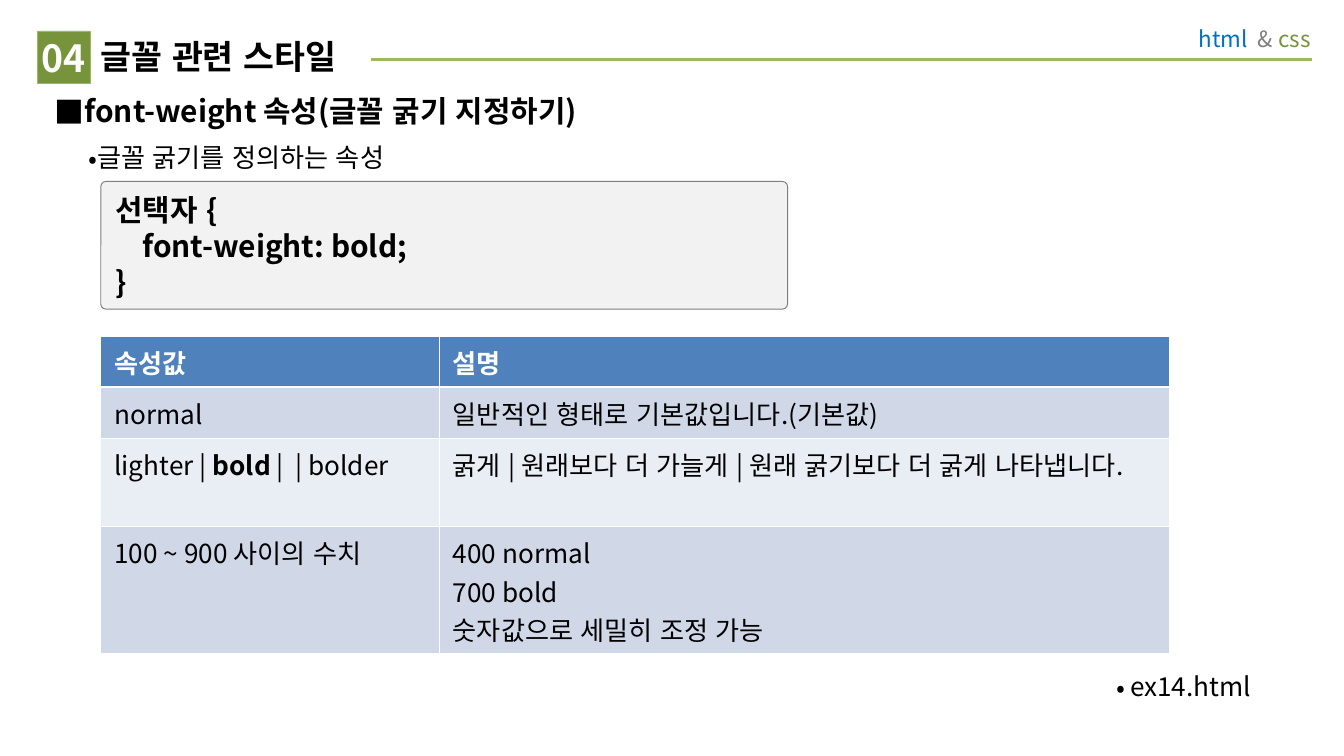
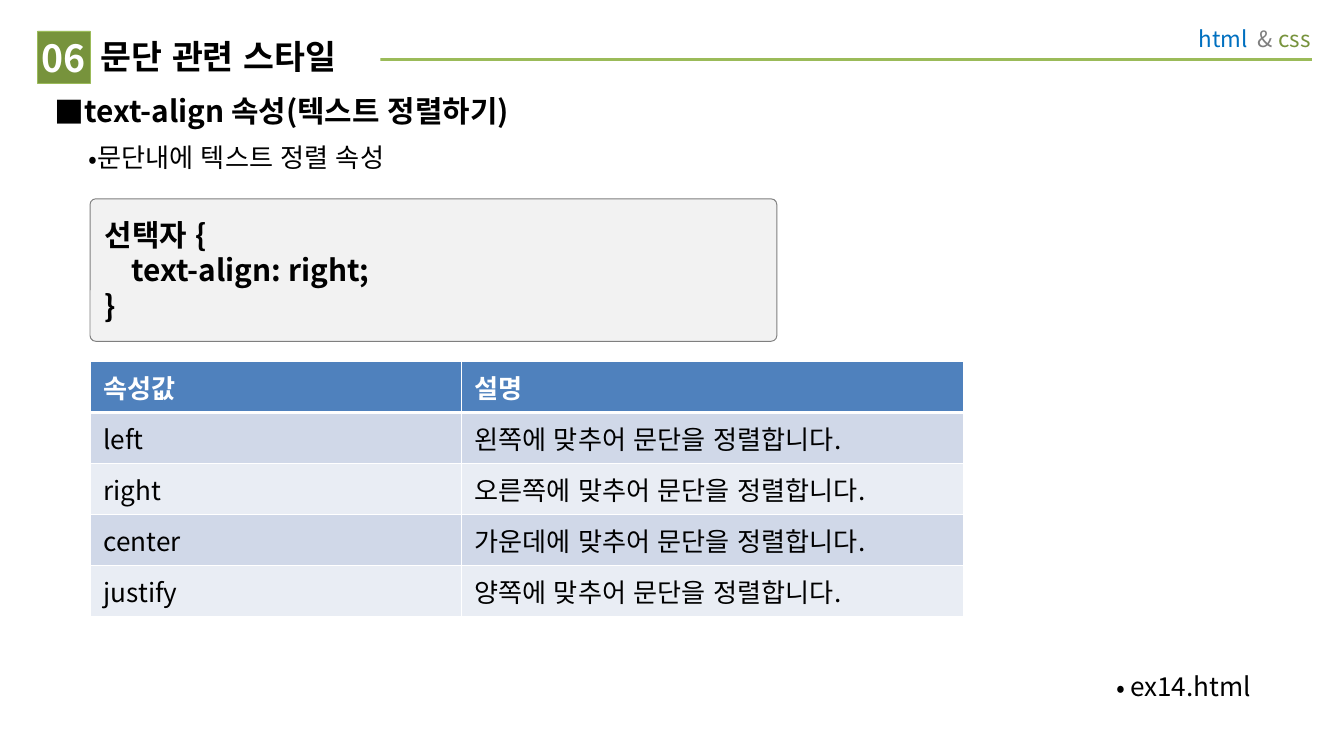
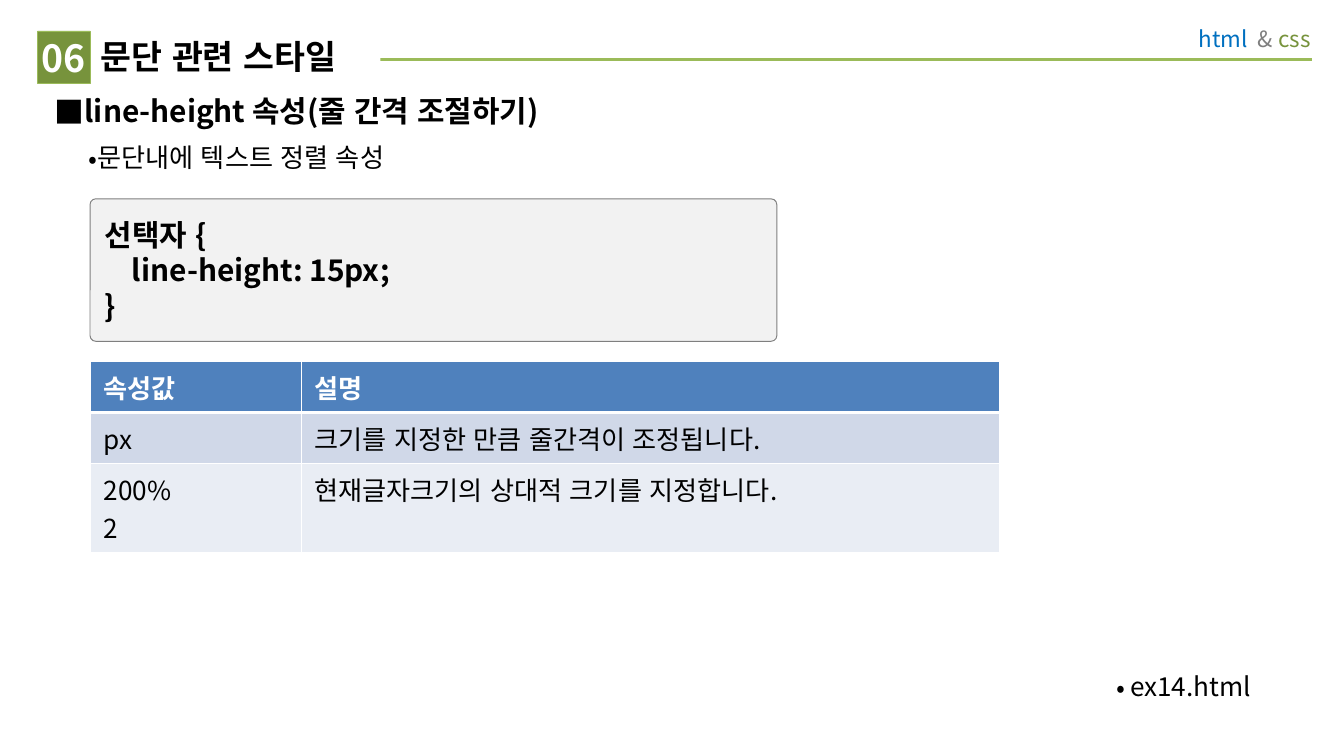
"""Build three lesson slides on CSS font and paragraph properties."""
from lxml.etree import SubElement
from pptx import Presentation
from pptx.dml.color import RGBColor
from pptx.enum.lang import MSO_LANGUAGE_ID
from pptx.enum.shapes import MSO_CONNECTOR, MSO_SHAPE
from pptx.enum.text import MSO_ANCHOR, MSO_AUTO_SIZE, PP_ALIGN
from pptx.oxml.ns import qn
from pptx.util import Inches, Pt

FONT = "Noto Sans CJK KR"
COLORS = {
    "ink": "000000", "paper": "FFFFFF", "green": "77933C", "lime": "9BBB59",
    "blue": "0070C0", "gray": "7F7F7F", "code": "F2F2F2",
    "head": "4F81BD", "odd": "D0D8E8", "even": "E9EDF4",
}
WIDTH = 10
HEIGHT = WIDTH * 9 / 16
EDGE, RIGHT = 0.31, 9.76
BADGE = 0.39
ROW, LINE, LIMIT = 0.38, 0.28, 35
HEAD = ("속성값", "설명")
BRAND = [("html  ", "blue"), ("& ", "gray"), ("css", "green")]
FILE = "ex14.html"

SLIDES = [
    {
        "number": "04", "title": "글꼴 관련 스타일", "span": 2.09,
        "topic": "font-weight 속성(글꼴 굵기 지정하기)",
        "note": "글꼴 굵기를 정의하는 속성",
        "rule": "font-weight: bold;",
        "left": 0.75, "code": (1.35, 0.95), "top": 2.5, "cols": (2.52, 5.43),
        "rows": [
            ("normal", "일반적인 형태로 기본값입니다.(기본값)"),
            ("lighter | **bold** |  | bolder",
             "굵게 | 원래보다 더 가늘게 | 원래 굵기보다 더 굵게 나타냅니다."),
            ("100 ~ 900 사이의 수치",
             "400 normal\n700 bold\n숫자값으로 세밀히 조정 가능"),
        ],
    },
    {
        "number": "06", "title": "문단 관련 스타일", "span": 2.16,
        "topic": "text-align 속성(텍스트 정렬하기)",
        "note": "문단내에 텍스트 정렬 속성",
        "rule": "text-align: right;",
        "left": 0.67, "code": (1.48, 1.06), "top": 2.69, "cols": (2.76, 3.74),
        "rows": [
            ("left", "왼쪽에 맞추어 문단을 정렬합니다."),
            ("right", "오른쪽에 맞추어 문단을 정렬합니다."),
            ("center", "가운데에 맞추어 문단을 정렬합니다."),
            ("justify", "양쪽에 맞추어 문단을 정렬합니다."),
        ],
    },
    {
        "number": "06", "title": "문단 관련 스타일", "span": 2.16,
        "topic": "line-height 속성(줄 간격 조절하기)",
        "note": "문단내에 텍스트 정렬 속성",
        "rule": "line-height: 15px;",
        "left": 0.67, "code": (1.48, 1.06), "top": 2.69, "cols": (1.57, 5.2),
        "rows": [
            ("px", "크기를 지정한 만큼 줄간격이 조정됩니다."),
            ("200%\n2", "현재글자크기의 상대적 크기를 지정합니다."),
        ],
    },
]


def shade(name):
    return RGBColor.from_string(COLORS[name])


def paint(part, name):
    part.fill.solid()
    part.fill.fore_color.rgb = shade(name)


def style(para, size, color="ink", bold=False, align=PP_ALIGN.LEFT):
    para.alignment = align
    font = para.font
    font.size, font.bold, font.name = Pt(size), bold, FONT
    font.color.rgb = shade(color)
    font.language_id = MSO_LANGUAGE_ID.KOREAN
    SubElement(font._rPr, qn("a:ea"), typeface=FONT)


def bullet(para, mark, left, hang):
    props = para._p.get_or_add_pPr()
    props.set("marL", str(Inches(left)))
    props.set("indent", str(Inches(-hang)))
    tint = SubElement(props, qn("a:buClr"))
    SubElement(tint, qn("a:srgbClr"), val=COLORS["ink"])
    SubElement(props, qn("a:buFont"), typeface=FONT)
    SubElement(props, qn("a:buChar"), char=mark)


def pad(frame, left, top, right, bottom):
    frame.margin_left, frame.margin_top = Inches(left), Inches(top)
    frame.margin_right, frame.margin_bottom = Inches(right), Inches(bottom)


def add_text(slide, box, wrap=True):
    frame = slide.shapes.add_textbox(*map(Inches, box)).text_frame
    frame.word_wrap = wrap
    return frame


def add_item(slide, box, text, size, mark, left, hang, bold=False, wrap=True):
    para = add_text(slide, box, wrap).paragraphs[0]
    para.text = text
    bullet(para, mark, left, hang)
    style(para, size, bold=bold)


def add_shape(slide, kind, box, fill, edge, width):
    shape = slide.shapes.add_shape(kind, *map(Inches, box))
    shape.shadow.inherit = False
    paint(shape, fill)
    shape.line.color.rgb = shade(edge)
    shape.line.width = Pt(width)
    shape.text_frame.vertical_anchor = MSO_ANCHOR.MIDDLE
    return shape


def add_band(slide, layout):
    """Draw the shared rule and course name, then hand them to the layout."""
    ends = map(Inches, (RIGHT, 0.44, 0.71, 0.44))
    rule = slide.shapes.add_connector(MSO_CONNECTOR.STRAIGHT, *ends)
    rule.line.color.rgb = shade("lime")
    rule.line.width = Pt(1.5)
    SubElement(rule._element.spPr, qn("a:effectLst"))
    frame = add_text(slide, (8.31, 0.11, 1.54, 0.36))
    pad(frame, 0.1, 0.08, 0.1, 0.08)
    para = frame.paragraphs[0]
    style(para, 12, align=PP_ALIGN.RIGHT)
    for text, color in BRAND:
        run = para.add_run()
        run.text = text
        run.font.color.rgb = shade(color)
    for shape in list(slide.shapes)[-2:]:
        layout.shapes.element.append(shape.element)


def add_title(slide, data):
    title = slide.shapes.title
    title.left, title.top = Inches(0.28 + BADGE), Inches(0.23)
    title.width, title.height = Inches(data["span"]), Inches(BADGE)
    paint(title, "paper")
    frame = title.text_frame
    frame.text = data["title"]
    frame.auto_size = MSO_AUTO_SIZE.NONE
    frame.vertical_anchor = MSO_ANCHOR.TOP
    pad(frame, 0.08, 0.04, 0, 0.04)
    style(frame.paragraphs[0], 18, bold=True)
    badge = add_shape(slide, MSO_SHAPE.RECTANGLE, (0.28, 0.23, BADGE, BADGE),
                      "green", "lime", 0.25)
    frame = badge.text_frame
    pad(frame, 0, 0, 0, 0)
    frame.text = data["number"]
    style(frame.paragraphs[0], 20, "paper", True, PP_ALIGN.CENTER)


def add_code(slide, data):
    top, height = data["code"]
    box = add_shape(slide, MSO_SHAPE.ROUNDED_RECTANGLE,
                    (data["left"], top, 5.11, height), "code", "gray", 0.5)
    box.adjustments[0] = 0.04
    frame = box.text_frame
    frame.text = "\n".join(("선택자 {", "    " + data["rule"], "}"))
    for para in frame.paragraphs:
        style(para, 16, bold=True)


def edge_cell(cell, row):
    thick = {"lnT": row == 1, "lnB": row == 0}
    for side in ("lnL", "lnR", "lnT", "lnB"):
        width = Pt(1.5 if thick.get(side) else 0.5)
        line = SubElement(cell._tc.get_or_add_tcPr(), qn("a:" + side), w=str(width))
        fill = SubElement(line, qn("a:solidFill"))
        SubElement(fill, qn("a:srgbClr"), val=COLORS["paper"])


def fill_cell(cell, text, row):
    edge_cell(cell, row)
    paint(cell, "head" if row == 0 else "odd" if row % 2 else "even")
    cell.margin_right = Inches(0.2)
    frame = cell.text_frame
    for i, line in enumerate(text.split("\n")):
        para = frame.add_paragraph() if i else frame.paragraphs[0]
        style(para, 14, "ink" if row else "paper", row == 0)
        for j, part in enumerate(line.split("**")):
            run = para.add_run()
            run.text = part
            if j % 2:
                run.font.bold = True


def count(text):
    return sum(1 + len(line) // LIMIT for line in text.split("\n"))


def add_grid(slide, data):
    rows, cols = [HEAD] + data["rows"], data["cols"]
    tall = [ROW + LINE * (max(map(count, row)) - 1) for row in rows]
    box = (data["left"], data["top"], sum(cols), sum(tall))
    table = slide.shapes.add_table(len(rows), len(cols), *map(Inches, box)).table
    for col, width in zip(table.columns, cols):
        col.width = Inches(width)
    for r, row in enumerate(rows):
        table.rows[r].height = Inches(tall[r])
        for c, text in enumerate(row):
            fill_cell(table.cell(r, c), text, r)


def main():
    deck = Presentation()
    deck.slide_width, deck.slide_height = Inches(WIDTH), Inches(HEIGHT)
    layout = deck.slide_layouts[5]
    wide = RIGHT - EDGE
    for i, data in enumerate(SLIDES):
        slide = deck.slides.add_slide(layout)
        if i == 0:
            add_band(slide, layout)
        add_title(slide, data)
        add_item(slide, (EDGE, 0.64, wide, 0.4), data["topic"], 16, "■", 0.2, 0.2, True)
        add_item(slide, (EDGE, 1, wide, BADGE), data["note"], 14, "•", 0.29, 0.04)
        add_code(slide, data)
        add_grid(slide, data)
        add_item(slide, (8.21, 4.94, 1.21, 0.34), FILE, 14, "•", 0.1, 0.1, wrap=False)
    deck.save("out.pptx")


if __name__ == "__main__":
    main()
